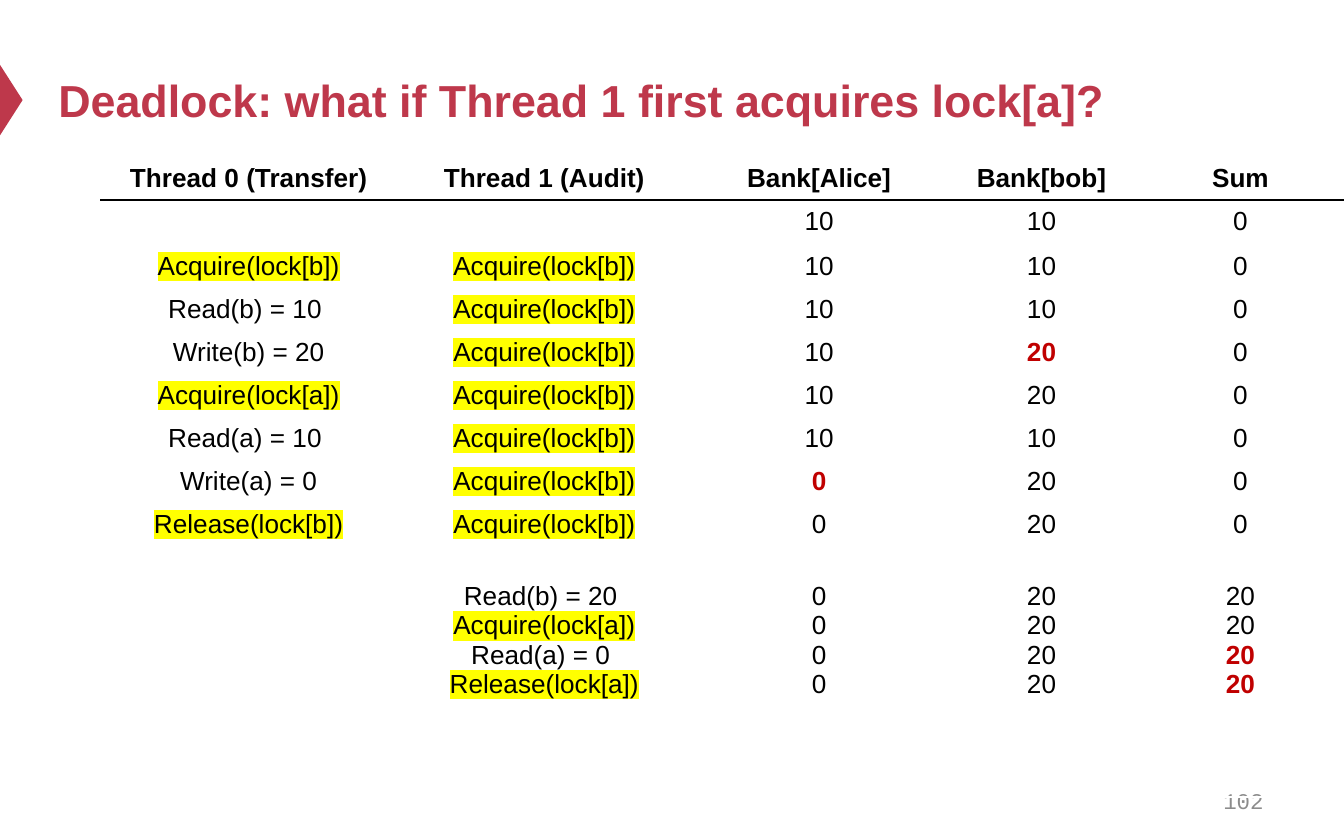
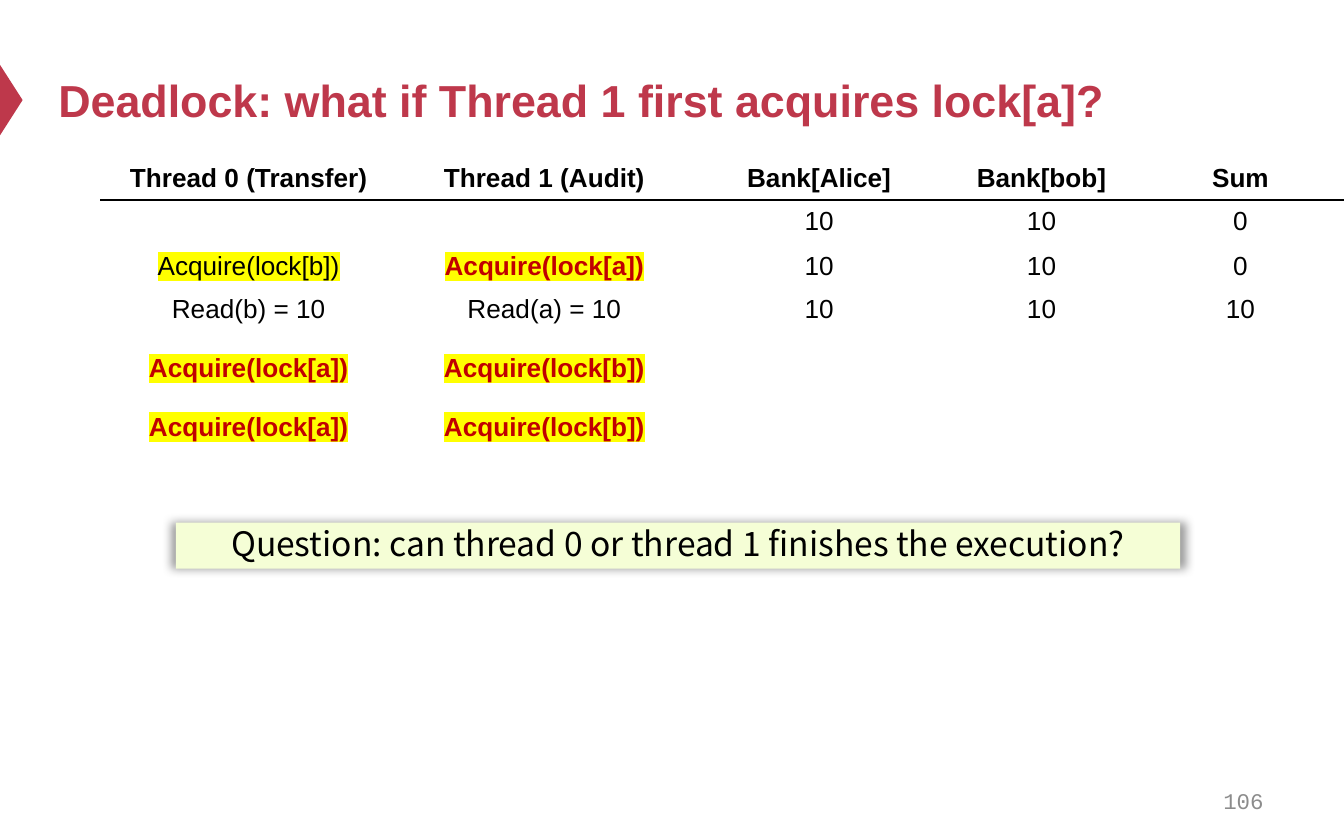
from lxml import etree
from pptx import Presentation
from pptx.dml.color import RGBColor
from pptx.enum.shapes import MSO_SHAPE
from pptx.enum.text import MSO_ANCHOR, MSO_AUTO_SIZE, PP_ALIGN
from pptx.oxml.ns import qn
from pptx.util import Pt

TRIANGLE, RECTANGLE = MSO_SHAPE.ISOSCELES_TRIANGLE, MSO_SHAPE.RECTANGLE
LEFT, CENTER, RIGHT = PP_ALIGN.LEFT, PP_ALIGN.CENTER, PP_ALIGN.RIGHT
MIDDLE = MSO_ANCHOR.MIDDLE
FIXED = MSO_AUTO_SIZE.NONE
TITLE_ONLY = 5

COLORS = {
    "accent": "BE384B",
    "black": "000000",
    "white": "FFFFFF",
    "gray": "8C8C8C",
    "red": "C00000",
    "yellow": "FFFF00",
    "question": "F5FED6",
}
BODY_FONT, NUMBER_FONT, QUESTION_FONT = "Arial", "Courier New", "Noto Sans CJK SC"

# Schedule table, in points
COLUMN_WIDTHS = (158.4, 158.4, 136.1, 102.2, 110.9)
ROW_COUNT = 13
ROW_HEIGHT = 23
TALL_ROW_HEIGHT = 86
LINE_HEIGHT = 15.7
CELL_MARGIN = 3.6
CELL_SIZE = 14

# Schedule text: "!" marks red bold, lock operations are highlighted
TITLE = "Deadlock: what if Thread 1 first acquires lock[a]?"
HEADER = ("Thread 0 (Transfer)", "Thread 1 (Audit)", "Bank[Alice]", "Bank[bob]", "Sum")
START = ("", "", "10", "10", "0")
WAIT = "Acquire(lock[b])"
LOCK_OPERATIONS = ("Acquire", "Release")

TRANSFER_ROWS = [
    HEADER,
    START,
    ("Acquire(lock[b])", WAIT, "10", "10", "0"),
    ("Read(b) = 10 ", WAIT, "10", "10", "0"),
    ("Write(b) = 20", WAIT, "10", "!20", "0"),
    ("Acquire(lock[a])", WAIT, "10", "20", "0"),
    ("Read(a) = 10 ", WAIT, "10", "10", "0"),
    ("Write(a) = 0", WAIT, "!0", "20", "0"),
    ("Release(lock[b])", WAIT, "0", "20", "0"),
    (
        "",
        "Read(b) = 20 \nAcquire(lock[a])\nRead(a) = 0 \nRelease(lock[a])",
        "0\n0\n0\n0",
        "20\n20\n20\n20",
        "20\n20\n!20\n!20",
    ),
]
DEADLOCK_ROWS = [
    HEADER,
    START,
    ("Acquire(lock[b])", "!Acquire(lock[a])", "10", "10", "0"),
    (
        "Read(b) = 10\n!Acquire(lock[a])\n!Acquire(lock[a])",
        "Read(a) = 10\n!Acquire(lock[b])\n!Acquire(lock[b])",
        "10",
        "10",
        "10",
    ),
]


def rgb(name):
    return RGBColor.from_string(COLORS[name])


def add_color(parent, name):
    return etree.SubElement(parent, qn("a:srgbClr"), val=COLORS[name])


class Lecture:
    """Holds the deck, its style and the current page."""

    def __init__(self):
        self.deck = Presentation()
        self.deck.slide_width, self.deck.slide_height = Pt(720), Pt(450)
        self.page = None

    def start_page(self, title, number):
        layout = self.deck.slide_layouts[TITLE_ONLY]
        self.page = self.deck.slides.add_slide(layout)
        self.marker()
        self.title(title)
        self.page_number(number)

    def style(self, span, size, color, font=BODY_FONT, bold=False, highlight=None):
        span.font.size = Pt(size)
        span.font.bold = bold
        span.font.color.rgb = rgb(color)
        if highlight:
            properties = span.font._element
            add_color(etree.SubElement(properties, qn("a:highlight")), highlight)
        span.font.name = font

    def line_of_text(self, box, text, align, *style, **options):
        frame = box.text_frame
        frame.text = text
        frame.word_wrap = True
        frame.auto_size = FIXED
        frame.vertical_anchor = MIDDLE
        para = frame.paragraphs[0]
        para.alignment = align
        self.style(para.runs[0], *style, **options)

    def block(self, kind, fill, left, top, width, height):
        shape = self.page.shapes.add_shape(kind, Pt(left), Pt(top), Pt(width), Pt(height))
        shape.shadow.inherit = False
        shape.fill.solid()
        shape.fill.fore_color.rgb = rgb(fill)
        shape.line.fill.background()
        return shape

    def marker(self):
        shape = self.block(TRIANGLE, "accent", -13, 47.5, 38, 12.2)
        shape.rotation = 90
        self.page.shapes._spTree.insert(2, shape._element)

    def title(self, text):
        box = self.page.shapes.title
        box.left, box.top, box.width, box.height = Pt(24), Pt(18), Pt(648), Pt(70.5)
        self.line_of_text(box, text, LEFT, 24, "accent", bold=True)

    def page_number(self, number):
        box = self.page.shapes.add_textbox(Pt(516), Pt(417), Pt(168), Pt(24))
        self.line_of_text(box, str(number), RIGHT, 12, "gray", NUMBER_FONT)

    def cell_borders(self, cell, row):
        properties = cell._tc.get_or_add_tcPr()
        rule_side = {0: "lnB", 1: "lnT"}.get(row)
        for side in ("lnL", "lnR", "lnT", "lnB"):
            line = etree.SubElement(properties, qn("a:" + side), w=str(Pt(1)))
            fill = etree.SubElement(line, qn("a:solidFill"))
            add_color(fill, "black" if side == rule_side else "white")

    def cell_text(self, cell, text, is_header, gap):
        cell.text_frame.text = text.replace("!", "")
        for index, (para, line) in enumerate(zip(cell.text_frame.paragraphs, text.split("\n"))):
            para.alignment = CENTER
            if index and gap:
                para.space_before = Pt(gap)
            for span in para.runs:
                is_red = line.startswith("!")
                is_lock = span.text.startswith(LOCK_OPERATIONS)
                self.style(
                    span,
                    CELL_SIZE,
                    "red" if is_red else "black",
                    bold=is_header or is_red,
                    highlight="yellow" if is_lock else None,
                )
            if not para.runs:
                para._p.get_or_add_endParaRPr().set("sz", str(CELL_SIZE * 100))

    def schedule(self, rows, lead=0, gap=0):
        """Draw the table; lead sits above the tall row, gap between its lines."""
        tall_row = len(rows) - 1
        heights = [ROW_HEIGHT] * ROW_COUNT
        heights[tall_row] = TALL_ROW_HEIGHT
        table = self.page.shapes.add_table(
            ROW_COUNT,
            len(COLUMN_WIDTHS),
            Pt(54),
            Pt(84.2),
            Pt(sum(COLUMN_WIDTHS)),
            Pt(sum(heights)),
        ).table
        table.first_row = table.horz_banding = False
        for column, width in zip(table.columns, COLUMN_WIDTHS):
            column.width = Pt(width)
        blank_rows = [("",) * len(COLUMN_WIDTHS)] * (ROW_COUNT - len(rows))
        for row, texts in enumerate(rows + blank_rows):
            table.rows[row].height = Pt(heights[row])
            for column, text in enumerate(texts):
                cell = table.cell(row, column)
                self.cell_borders(cell, row)
                cell.fill.background()
                cell.margin_top = Pt(CELL_MARGIN + (lead if row == tall_row else 0))
                cell.margin_bottom = Pt(CELL_MARGIN)
                self.cell_text(cell, text, row == 0, gap)

    def question(self, text):
        box = self.block(RECTANGLE, "question", 94.2, 280, 538, 24.6)
        frame = box.text_frame
        frame.margin_left = frame.margin_right = Pt(6)
        frame.margin_top, frame.margin_bottom = Pt(0), Pt(3)
        self.line_of_text(box, text, CENTER, 18, "black", QUESTION_FONT)
        # Soft shadow, slightly wider than the box
        effects = box._element.spPr.find(qn("a:effectLst"))
        shadow = etree.SubElement(
            effects,
            qn("a:outerShdw"),
            blurRad=str(Pt(5)),
            sx="101000",
            sy="101000",
            algn="ctr",
        )
        etree.SubElement(add_color(shadow, "black"), qn("a:alpha"), val="40000")


def main():
    lecture = Lecture()

    # Transfer runs to its end while the audit waits
    lecture.start_page(TITLE, 102)
    lecture.schedule(TRANSFER_ROWS, lead=LINE_HEIGHT)

    # Both threads wait for each other
    lecture.start_page(TITLE, 106)
    lecture.schedule(DEADLOCK_ROWS, gap=LINE_HEIGHT)
    lecture.question("Question: can thread 0 or thread 1 finishes the execution?")

    lecture.deck.save("out.pptx")


if __name__ == "__main__":
    main()
